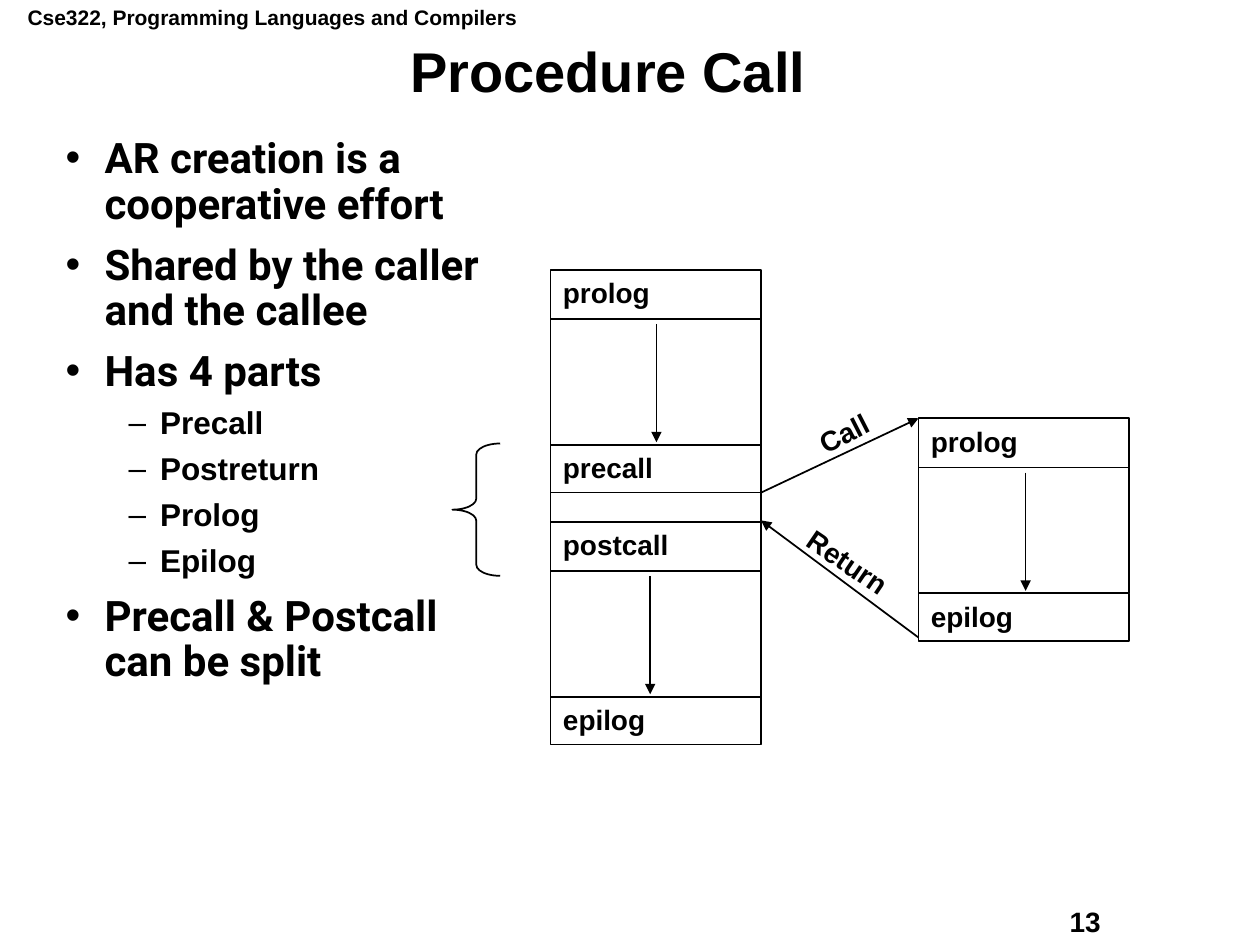
import pptx
import pptx.util
import pptx.dml.color
import pptx.enum.shapes
import pptx.enum.text
import pptx.oxml
import pptx.oxml.ns
from dataclasses import dataclass

Inches = pptx.util.Inches
Pt = pptx.util.Pt
MSO_SHAPE = pptx.enum.shapes.MSO_SHAPE
PP_ALIGN = pptx.enum.text.PP_ALIGN
MSO_ANCHOR = pptx.enum.text.MSO_ANCHOR
MSO_AUTO_SIZE = pptx.enum.text.MSO_AUTO_SIZE


@dataclass(frozen=True)
class Theme:
    ink: str = "000000"
    font: str = "Arial"
    bullet_font: str = "Roboto"
    header: float = 12
    title: float = 32
    bullet: float = 24
    sub_bullet: float = 18
    label: float = 16
    line: float = 1


THEME = Theme()
BULLETS = [
    (0, "AR creation is a cooperative effort"),
    (0, "Shared by the caller and the callee"),
    (0, "Has 4 parts"),
    (1, "Precall"),
    (1, "Postreturn"),
    (1, "Prolog"),
    (1, "Epilog"),
    (0, "Precall & Postcall can be split"),
]
CALLER = [("prolog", 0.39, None), ("", 1, 0.84), ("precall", 0.38, None),
          ("", 0.23, None), ("postcall", 0.39, None), ("", 1, 0.79),
          ("epilog", 0.38, None)]
CALLEE = [("prolog", 0.39, None), ("", 1, 0.85), ("epilog", 0.38, None)]


def ink():
    return pptx.dml.color.RGBColor.from_string(THEME.ink)


def write(p, text, size=THEME.label, font=THEME.font, align=PP_ALIGN.LEFT,
          spacing=None, before=0):
    p.alignment = align
    p.space_before = Pt(before)
    if spacing:
        p.line_spacing = spacing
    r = p.add_run()
    r.text = text
    r.font.size, r.font.name, r.font.bold = Pt(size), font, True
    r.font.color.rgb = ink()


def place(sp, box):
    sp.left, sp.top, sp.width, sp.height = map(Inches, box)


def add_text(s, box, text, wrap=False, rotation=0, **fmt):
    sp = s.shapes.add_textbox(*map(Inches, box))
    sp.rotation = rotation
    sp.text_frame.word_wrap = wrap
    write(sp.text_frame.paragraphs[0], text, **fmt)


def add_outline(s, kind, box):
    sp = s.shapes.add_shape(kind, *map(Inches, box))
    sp.shadow.inherit = False
    sp.fill.background()
    sp.line.color.rgb = ink()
    sp.line.width = Pt(THEME.line)
    return sp


def add_arrow(s, start, end):
    line = s.shapes.add_connector(pptx.enum.shapes.MSO_CONNECTOR.STRAIGHT,
                                  *map(Inches, (*start, *end)))
    line.line.color.rgb = ink()
    line.line.width = Pt(THEME.line)
    ln = line.line._get_or_add_ln()
    ns = pptx.oxml.ns.nsdecls("a")
    ln.append(pptx.oxml.parse_xml(f'<a:tailEnd {ns} type="triangle"/>'))
    ln.getparent().append(pptx.oxml.parse_xml(f"<a:effectLst {ns}/>"))


def add_bullet(p, char, margin, indent):
    pPr = p._p.get_or_add_pPr()
    pPr.set("marL", str(Inches(margin)))
    pPr.set("indent", str(Inches(-indent)))
    ns = pptx.oxml.ns.nsdecls("a")
    for xml in (f'<a:buClr {ns}><a:srgbClr val="{THEME.ink}"/></a:buClr>',
                f'<a:buFont {ns} typeface="{THEME.font}"/>',
                f'<a:buChar {ns} char="{char}"/>'):
        pPr.append(pptx.oxml.parse_xml(xml))


def title(s, box, text):
    sp = s.shapes.title
    place(sp, box)
    tf = sp.text_frame
    tf.auto_size = MSO_AUTO_SIZE.NONE
    tf.vertical_anchor = MSO_ANCHOR.MIDDLE
    write(tf.paragraphs[0], text, size=THEME.title, align=PP_ALIGN.CENTER,
          spacing=0.9)


def bullet_list(s, box, items):
    sp = s.placeholders[1]
    place(sp, box)
    tf = sp.text_frame
    tf.auto_size = MSO_AUTO_SIZE.NONE
    for i, (level, text) in enumerate(items):
        p = tf.add_paragraph() if i else tf.paragraphs[0]
        p.level = level
        if level:
            add_bullet(p, "–", 0.75, 0.25)
            write(p, text, size=THEME.sub_bullet, spacing=0.9, before=6.8)
        else:
            add_bullet(p, "•", 0.31, 0.31)
            write(p, text, size=THEME.bullet, font=THEME.bullet_font,
                  spacing=0.9, before=9 if i else 0)


def procedure(s, left, top, width, rows):
    for name, height, arrow_x in rows:
        sp = add_outline(s, MSO_SHAPE.RECTANGLE, (left, top, width, height))
        if name:
            sp.text_frame.vertical_anchor = MSO_ANCHOR.TOP
            write(sp.text_frame.paragraphs[0], name)
        if arrow_x:
            x = left + arrow_x
            add_arrow(s, (x, top + 0.04), (x, top + height - 0.02))
        top += height


def call_diagram(s, left, top):
    width, callee_left, callee_top = 1.67, left + 2.92, top + 1.18
    right = left + width
    procedure(s, left, top, width, CALLER)
    procedure(s, callee_left, callee_top, width, CALLEE)
    add_arrow(s, (right, top + 1.77), (callee_left, callee_top))
    add_arrow(s, (callee_left, top + 2.92), (right, top + 1.99))
    add_text(s, (left + 2.01, top + 1.05, 0.89, 0.37), "Call",
             wrap=True, rotation=332.9)
    add_text(s, (left + 1.89, top + 2.18, 1.06, 0.37), "Return",
             wrap=True, rotation=34.4)
    brace = add_outline(s, MSO_SHAPE.LEFT_BRACE,
                        (left - 0.78, top + 1.38, 0.38, 1.05))
    brace.adjustments[0] = 0.23


def main():
    prs = pptx.Presentation()
    prs.slide_width, prs.slide_height = Inches(10), Inches(7.5)
    s = prs.slides.add_slide(prs.slide_layouts[1])
    add_text(s, (0.12, -0.01, 4.09, 0.3),
             "Cse322, Programming Languages and Compilers", size=THEME.header)
    add_text(s, (8.39, 7.13, 1.27, 0.36), "13")
    title(s, (0.31, 0.31, 9.03, 0.56), "Procedure Call")
    bullet_list(s, (0.42, 1.04, 3.62, 5.83), BULLETS)
    call_diagram(s, 4.37, 2.14)
    prs.save("out.pptx")


if __name__ == "__main__":
    main()
